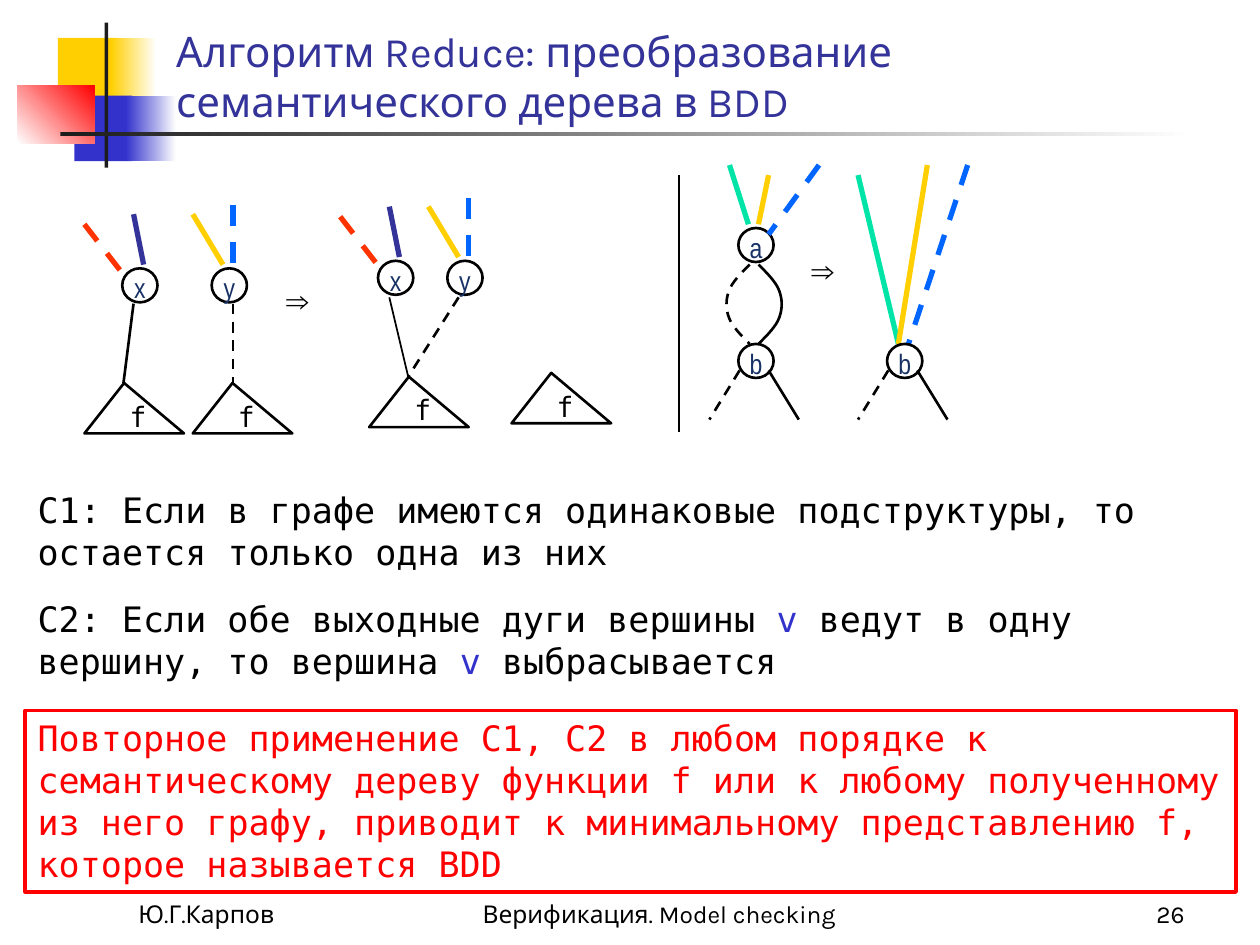
from lxml import etree
from pptx import Presentation
from pptx.dml.color import RGBColor
from pptx.enum.dml import MSO_LINE
from pptx.enum.shapes import MSO_CONNECTOR, MSO_SHAPE
from pptx.enum.text import MSO_ANCHOR, PP_ALIGN
from pptx.oxml.ns import qn
from pptx.util import Pt

PX = 9144  # 100 px to the inch
RECTANGLE, ELLIPSE = MSO_SHAPE.RECTANGLE, MSO_SHAPE.OVAL
STRAIGHT, DASH = MSO_CONNECTOR.STRAIGHT, MSO_LINE.DASH
TOP, BOTTOM = MSO_ANCHOR.TOP, MSO_ANCHOR.BOTTOM
LEFT, CENTER, RIGHT = PP_ALIGN.LEFT, PP_ALIGN.CENTER, PP_ALIGN.RIGHT
TITLE_FONT, BODY_FONT, NODE_FONT = "Karla", "DejaVu Sans Mono", "Arial Narrow"
BLACK, WHITE, RED, DARK = "000000", "FFFFFF", "FF0000", "1C1C1C"
YELLOW, BLUE, VIOLET, NAVY = "FFCF01", "3333CC", "333399", "183266"
GREEN, SKY, ORANGE = "00E4A8", "0066FF", "FF3300"


def px(*lengths):
    return [round(length * PX) for length in lengths]


def color(value):
    return RGBColor.from_string(value)


def outline(shape, line_color=BLACK, width=1.5, dashed=False):
    shape.line.color.rgb = color(line_color)
    shape.line.width = Pt(width)
    if dashed:
        shape.line.dash_style = DASH


def add_shape(slide, kind, box):
    shape = slide.shapes.add_shape(kind, *px(*box))
    shape.shadow.inherit = False
    shape.fill.background()
    return shape


def add_block(slide, box, start, end=None, angle=0):
    block = add_shape(slide, RECTANGLE, box)
    block.line.fill.background()
    if end is None:
        block.fill.solid()
        block.fill.fore_color.rgb = color(start)
        return
    block.fill.gradient()
    block.fill.gradient_angle = angle
    for stop, value in zip(block.fill.gradient_stops, (start, end)):
        stop.color.rgb = color(value)


def write(shape, runs, font, size, align=LEFT, anchor=TOP):
    frame = shape.text_frame
    frame.word_wrap = True
    frame.vertical_anchor = anchor
    paragraph = frame.paragraphs[0]
    paragraph.alignment = align
    for text, text_color in runs:
        run = paragraph.add_run()
        run.text = text
        run.font.name = font
        run.font.size = Pt(size)
        run.font.color.rgb = color(text_color)


def add_text(slide, box, runs, font, size, align=LEFT, anchor=TOP):
    write(slide.shapes.add_textbox(*px(*box)), runs, font, size, align, anchor)


def add_line(slide, left, top, ends, line_color=BLACK, width=1.5, dashed=False):
    x1, y1, x2, y2 = ends
    points = px(left + x1, top + y1, left + x2, top + y2)
    line = slide.shapes.add_connector(STRAIGHT, *points)
    outline(line, line_color, width, dashed)
    etree.SubElement(line._element.spPr, qn("a:effectLst"))


def add_outline(slide, points, close, dashed=False):
    points = [px(*point) for point in points]
    builder = slide.shapes.build_freeform(*points[0])
    builder.add_line_segments(points[1:], close=close)
    shape = builder.convert_to_shape()
    shape.shadow.inherit = False
    shape.fill.background()
    outline(shape, dashed=dashed)


def add_node(slide, left, top, label):
    outline(add_shape(slide, ELLIPSE, (left, top, 28, 27)))
    add_text(slide, (left - 7, top - 3, 42, 37), [(label, NAVY)], NODE_FONT, 16, CENTER)


def add_subtree(slide, left, top):
    corners = [(left + 31.5, top), (left, top + 40), (left + 79, top + 40)]
    add_outline(slide, corners, close=True)
    add_text(slide, (left + 23, top + 8, 39, 37), [("f", BLACK)], BODY_FONT, 16, CENTER)


def add_implies(slide, left, top):
    add_text(slide, (left, top, 102, 40), [("⇒", BLACK)], "Arial", 18, CENTER)


def add_arc(slide, left, top, side, dashed=False):
    """Edge bulging to the given side (-1 left, 1 right), made of Bézier parts."""
    controls = [(0, 0), (7, 7), (14, 14), (16.5, 21), (19, 28),
                (19, 35), (16.5, 42), (14, 49), (7, 56), (0, 63)]
    points = [(left, top)]
    for first in (0, 3, 6):
        for step in range(1, 9):
            t = step / 8
            weights = ((1 - t) ** 3, 3 * t * (1 - t) ** 2, 3 * t * t * (1 - t), t ** 3)
            part = list(zip(weights, controls[first:first + 4]))
            x = sum(weight * point[0] for weight, point in part)
            y = sum(weight * point[1] for weight, point in part)
            points.append((left + side * x, top + y))
    add_outline(slide, points, close=False, dashed=dashed)


def add_branches(slide, left, top):
    """Node b with its two outgoing edges."""
    add_node(slide, left, top, "b")
    add_line(slide, left, top, (1, 21, -23, 60), dashed=True)
    add_line(slide, left, top, (24, 21, 48, 60))


def add_pair(slide, left, top, gap):
    """Nodes x and y with their incoming edges."""
    add_node(slide, left, top, "x")
    add_line(slide, left, top, (-30, -35, 1, 5), ORANGE, 3, True)
    add_line(slide, left, top, (9, -43, 17, -3), VIOLET, 3)
    add_node(slide, left + gap, top, "у")
    add_line(slide, left + gap, top, (17, -50, 17, -3), SKY, 3, True)
    add_line(slide, left + gap, top, (-15, -43, 9, -3), YELLOW, 3)


def draw_decoration(slide, left, top):
    for x, y, width, fade_x, fade_width, value in (
            (32, 12, 48, 74, 36, YELLOW), (45, 58, 46, 86, 40, BLUE)):
        add_block(slide, (left + x, top + y, width, 52), value)
        add_block(slide, (left + fade_x, top + y, fade_width, 52), value, WHITE)
    add_block(slide, (left, top + 50, 61, 46), WHITE, RED, 45)
    add_block(slide, (left + 69, top, 3, 115), DARK)
    add_block(slide, (left + 34, top + 87, 900, 3), DARK, WHITE)


def draw_footer(slide, left, top):
    for x, width, text, align in ((0, 208, "Ю.Г.Карпов", LEFT),
                                  (267, 317, "Верификация. Model checking ", CENTER),
                                  (642, 208, "26", RIGHT)):
        add_text(slide, (left + x, top, width, 50), [(text, BLACK)],
                 TITLE_FONT, 14, align, BOTTOM)


def draw_merge_rule(slide, left, top):
    # Two equal subtrees
    add_pair(slide, left + 30, top + 56, 71)
    add_line(slide, left, top, (39, 84, 31, 147))
    add_line(slide, left, top, (118, 84, 118, 147), dashed=True)
    for x in (0, 86):
        add_subtree(slide, left + x, top + 147)
    add_implies(slide, left + 118, top + 61)
    # One shared subtree
    add_pair(slide, left + 233, top + 50, 55)
    add_line(slide, left, top, (242, 79, 257, 142), width=1)
    add_line(slide, left, top, (297, 79, 257, 142), dashed=True)
    add_subtree(slide, left + 226, top + 142)
    add_subtree(slide, left + 339, top + 139)


def draw_removal_rule(slide, left, top):
    add_line(slide, left, top, (0, 8, 0, 212))
    # Both edges of a lead to b
    add_node(slide, left + 47, top + 50, "a")
    add_arc(slide, left + 56, top + 79, -1, dashed=True)
    add_arc(slide, left + 63, top + 79, 1)
    add_line(slide, left, top, (111, 0, 71, 55), SKY, 3, True)
    add_line(slide, left, top, (40, 0, 55, 47), GREEN, 3)
    add_line(slide, left, top, (71, 8, 63, 47), YELLOW, 3)
    add_branches(slide, left + 47, top + 142)
    add_implies(slide, left + 63, top + 63)
    # Only b remains
    add_line(slide, left, top, (142, 8, 174, 142), GREEN, 3)
    add_line(slide, left, top, (229, 0, 182, 142), SKY, 3, True)
    add_line(slide, left, top, (197, 0, 174, 142), YELLOW, 3)
    add_branches(slide, left + 165, top + 142)


def draw_statements(slide, left, top):
    add_text(slide, (left, top, 961, 77), [
        ("С1: Если в графе имеются одинаковые подструктуры, "
         "то остается только одна из них", BLACK)], BODY_FONT, 20)
    add_text(slide, (left, top + 86, 940, 77), [
        ("С2: Если обе выходные дуги вершины ", BLACK), ("v ", BLUE),
        ("ведут в одну вершину, то вершина ", BLACK), ("v ", BLUE),
        ("выбрасывается", BLACK)], BODY_FONT, 20)
    conclusion = add_shape(slide, RECTANGLE, (left, top + 181, 961, 144))
    outline(conclusion, RED, 2)
    write(conclusion, [
        ("Повторное применение С1, С2 в любом порядке к семантическому дереву "
         "функции f или к любому полученному из него графу, приводит к "
         "минимальному представлению f, которое называется BDD", RED)], BODY_FONT, 20)


def main():
    presentation = Presentation()
    presentation.slide_width, presentation.slide_height = px(1000, 750)
    slide = presentation.slides.add_slide(presentation.slide_layouts[6])
    draw_decoration(slide, 14, 18)
    draw_footer(slide, 100, 692)
    add_text(slide, (130, 21, 851, 84), [
        ("Алгоритм Reduce: преобразование семантического дерева в BDD", VIOLET)],
        TITLE_FONT, 24, anchor=BOTTOM)
    draw_statements(slide, 20, 383)
    draw_removal_rule(slide, 539, 131)
    draw_merge_rule(slide, 67, 157)
    presentation.save("out.pptx")


if __name__ == "__main__":
    main()
